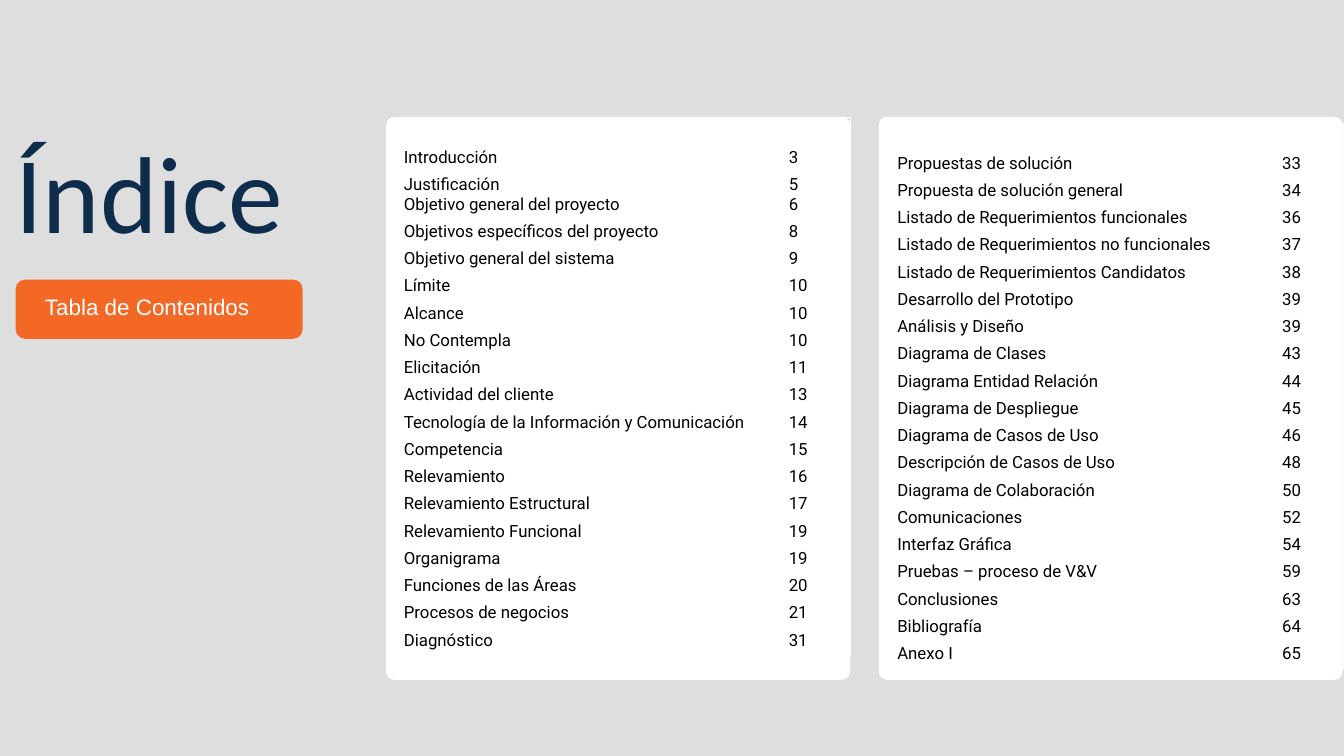
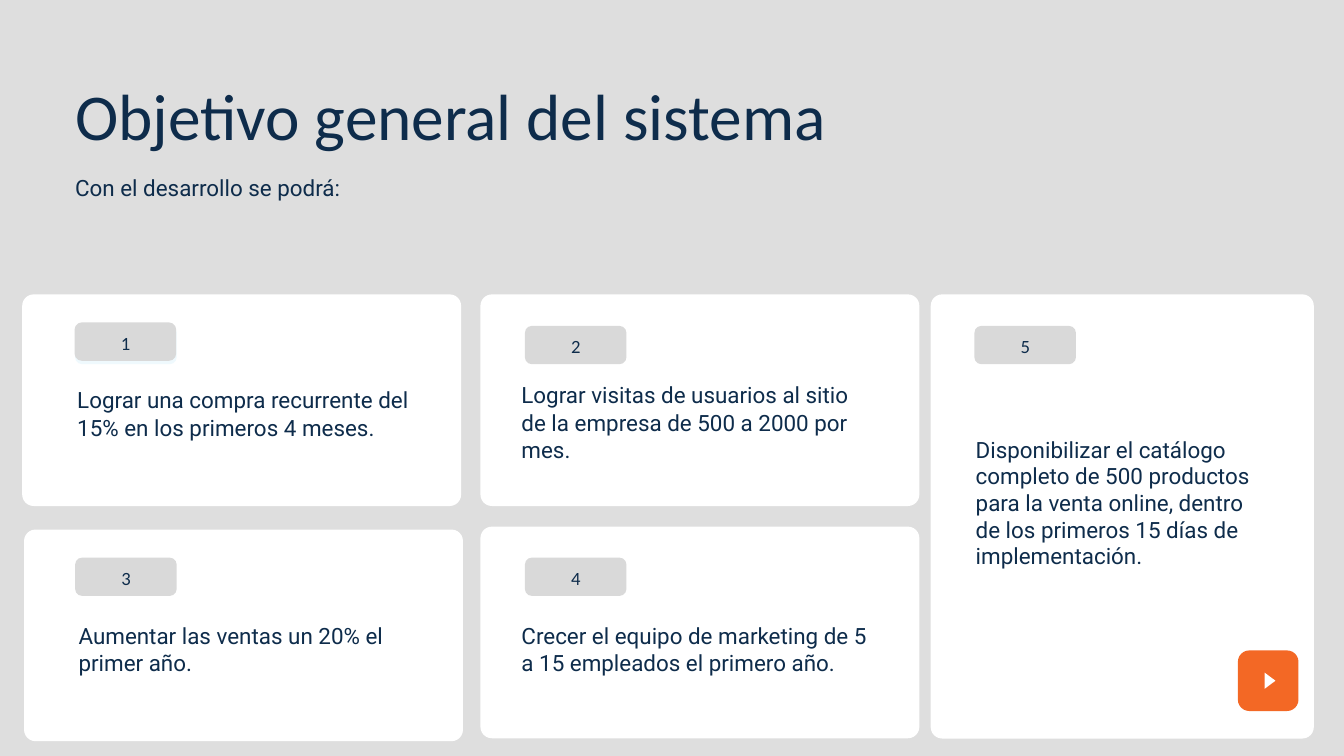
from dataclasses import dataclass

from pptx import Presentation
from pptx import util as u
from pptx.dml.color import RGBColor
from pptx.enum import shapes, text

Cm, Pt = u.Cm, u.Pt


@dataclass(frozen=True)
class Theme:
    backdrop: str = "DEDEDE"
    card: str = "FFFFFF"
    accent: str = "F36825"
    badge: str = "D9D9D9"
    badge_edge: str = "EFF9FD"
    navy: str = "0E2C4B"
    black: str = "000000"
    white: str = "FFFFFF"
    heading_font: str = "Calibri"
    body_font: str = "Roboto"
    label_font: str = "Arial"
    cover_size: int = 117
    title_size: int = 70
    body_size: int = 24
    badge_size: int = 20
    table_size: int = 18


THEME = Theme()

INDEX_LEFT = [
    ("", ""),
    ("Introducción", "3"),
    ("Justificación\nObjetivo general del proyecto", "5\n6"),
    ("Objetivos específicos del proyecto", "8"),
    ("Objetivo general del sistema", "9"),
    ("Límite", "10"),
    ("Alcance", "10"),
    ("No Contempla", "10"),
    ("Elicitación", "11"),
    ("Actividad del cliente", "13"),
    ("Tecnología de la Información y Comunicación", "14"),
    ("Competencia", "15"),
    ("Relevamiento", "16"),
    ("Relevamiento Estructural", "17"),
    ("Relevamiento Funcional", "19"),
    ("Organigrama", "19"),
    ("Funciones de las Áreas", "20"),
    ("Procesos de negocios", "21"),
    ("Diagnóstico", "31"),
]
INDEX_RIGHT = [
    ("", ""),
    ("Propuestas de solución", "33"),
    ("Propuesta de solución general", "34"),
    ("Listado de Requerimientos funcionales", "36"),
    ("Listado de Requerimientos no funcionales", "37"),
    ("Listado de Requerimientos Candidatos", "38"),
    ("Desarrollo del Prototipo", "39"),
    ("Análisis y Diseño", "39"),
    ("Diagrama de Clases", "43"),
    ("Diagrama Entidad Relación", "44"),
    ("Diagrama de Despliegue", "45"),
    ("Diagrama de Casos de Uso", "46"),
    ("Descripción de Casos de Uso", "48"),
    ("Diagrama de Colaboración", "50"),
    ("Comunicaciones", "52"),
    ("Interfaz Gráfica", "54"),
    ("Pruebas – proceso de V&V", "59"),
    ("Conclusiones", "63"),
    ("Bibliografía", "64"),
    ("Anexo I", "65"),
]
INDEX_COLUMNS = [
    {"card": 14.6, "table": (15.01, 4.42), "entries": INDEX_LEFT},
    {"card": 33.22, "table": (33.66, 4.65), "entries": INDEX_RIGHT},
]
INDEX_WIDTHS = (14.55, 2.57)
ROW_HEIGHT = 1.03

SMALL_CARD = (16.59, 8)
TALL_CARD = (14.48, 16.79)
SMALL_TEXT = (13.26, 2.03)
TALL_TEXT = (10.92, 5.16)
GOALS = [
    {"number": "1", "text": "Lograr una compra recurrente del 15% en los primeros 4 meses.",
     "card": (0.84, 11.13, *SMALL_CARD), "badge": (2.82, 12.19),
     "body": (2.92, 14.58, *SMALL_TEXT), "spacing": 29.4},
    {"number": "2", "text": "Lograr visitas de usuarios al sitio de la empresa de 500 a 2000 por mes.",
     "card": (18.16, 11.13, *SMALL_CARD), "badge": (19.84, 12.32),
     "body": (19.71, 14.4, *SMALL_TEXT), "spacing": 29.4},
    {"number": "3", "text": "Aumentar las ventas un 20% el primer año.",
     "card": (0.91, 20.02, *SMALL_CARD), "badge": (2.84, 21.08),
     "body": (2.97, 23.5, *SMALL_TEXT), "spacing": 29.4},
    {"number": "4", "text": "Crecer el equipo de marketing de 5 a 15 empleados el primero año.",
     "card": (18.16, 19.91, *SMALL_CARD), "badge": (19.84, 21.08),
     "body": (19.71, 23.5, *SMALL_TEXT), "spacing": 29.4},
    {"number": "5", "text": "Disponibilizar el catálogo completo de 500 productos para la venta online, "
                            "dentro de los primeros 15 días de implementación.",
     "card": (35.18, 11.13, *TALL_CARD), "badge": (36.83, 12.32),
     "body": (36.88, 16.48, *TALL_TEXT), "spacing": 28.6},
]
BADGE_SIZE = (3.84, 1.45)
BADGE_EDGE = (2.84, 12.32)


def add_page(deck):
    page = deck.slides.add_slide(deck.slide_layouts[6])
    page.background.fill.solid()
    page.background.fill.fore_color.rgb = RGBColor.from_string(THEME.backdrop)
    return page


def add_solid(page, kind, place, color):
    shape = page.shapes.add_shape(kind, *map(Cm, place))
    shape.shadow.inherit = False
    shape.fill.solid()
    shape.fill.fore_color.rgb = RGBColor.from_string(color)
    shape.line.fill.background()
    return shape


def add_panel(page, place, color, radius):
    panel = add_solid(page, shapes.MSO_SHAPE.ROUNDED_RECTANGLE, place, color)
    panel.adjustments[0] = radius / min(place[2:])


def style(para, font, size, color):
    para.font.name = font
    para.font.size = Pt(size)
    para.font.color.rgb = RGBColor.from_string(color)


def add_text(page, place, words, font, size, spacing, color=THEME.navy, align=text.PP_ALIGN.LEFT):
    box = page.shapes.add_textbox(*map(Cm, place))
    frame = box.text_frame
    frame.margin_left = frame.margin_right = frame.margin_top = frame.margin_bottom = 0
    frame.word_wrap = True
    frame.auto_size = text.MSO_AUTO_SIZE.SHAPE_TO_FIT_TEXT
    para = frame.paragraphs[0]
    para.text = words
    para.alignment = align
    para.line_spacing = Pt(spacing)
    style(para, font, size, color)


def add_index(page, corner, entries):
    place = (*corner, sum(INDEX_WIDTHS), ROW_HEIGHT * len(entries))
    table = page.shapes.add_table(len(entries), len(INDEX_WIDTHS), *map(Cm, place)).table
    table.horz_banding = False
    for column, width in zip(table.columns, INDEX_WIDTHS):
        column.width = Cm(width)
    for row, entry in zip(table.rows, entries):
        row.height = Cm(ROW_HEIGHT)
        for cell, words in zip(row.cells, entry):
            cell.fill.background()
            cell.text = words
            for para in cell.text_frame.paragraphs:
                style(para, THEME.body_font, THEME.table_size, THEME.black)


def add_badge(page, corner, number):
    left, top = corner
    add_panel(page, (left, top, *BADGE_SIZE), THEME.badge, 0.27)
    add_text(page, (left + 0.43, top + 0.2, 3, 0.94), number, THEME.heading_font,
             THEME.badge_size, 28, align=text.PP_ALIGN.CENTER)


def build_index(deck):
    page = add_page(deck)
    for column in INDEX_COLUMNS:
        add_panel(page, (column["card"], 4.42, 17.53, 21.28), THEME.card, 0.3)
    add_panel(page, (0.59, 10.57, 10.85, 2.24), THEME.accent, 0.36)
    add_text(page, (0.59, 3.71, 13.39, 5.28), "Índice", THEME.heading_font,
             THEME.cover_size, 168.6)
    add_text(page, (1.7, 10.92, 9.09, 1.07), "Tabla de Contenidos", THEME.label_font,
             THEME.body_size, 33.6, THEME.white)
    for column in INDEX_COLUMNS:
        add_index(page, column["table"], column["entries"])


def build_goals(deck):
    page = add_page(deck)
    for goal in GOALS:
        add_panel(page, goal["card"], THEME.card, 0.43)
    add_text(page, (2.84, 2.84, 39.27, 3), "Objetivo general del sistema",
             THEME.heading_font, THEME.title_size, 84)
    add_text(page, (2.84, 6.4, 13.26, 1.09), "Con el desarrollo se podrá:",
             THEME.body_font, THEME.body_size, 33.6)
    add_panel(page, (*BADGE_EDGE, *BADGE_SIZE), THEME.badge_edge, 0.27)
    for goal in GOALS:
        add_badge(page, goal["badge"], goal["number"])
        add_text(page, goal["body"], goal["text"], THEME.body_font,
                 THEME.body_size, goal["spacing"])
    add_panel(page, (46.79, 24.59, 2.29, 2.29), THEME.accent, 0.43)
    arrow = add_solid(page, shapes.MSO_SHAPE.ISOSCELES_TRIANGLE,
                      (47.7, 25.53, 0.61, 0.41), THEME.white)
    arrow.rotation = 90


def main():
    deck = Presentation()
    deck.slide_width, deck.slide_height = Cm(50.8), Cm(28.58)
    build_index(deck)
    build_goals(deck)
    deck.save("out.pptx")


if __name__ == "__main__":
    main()
